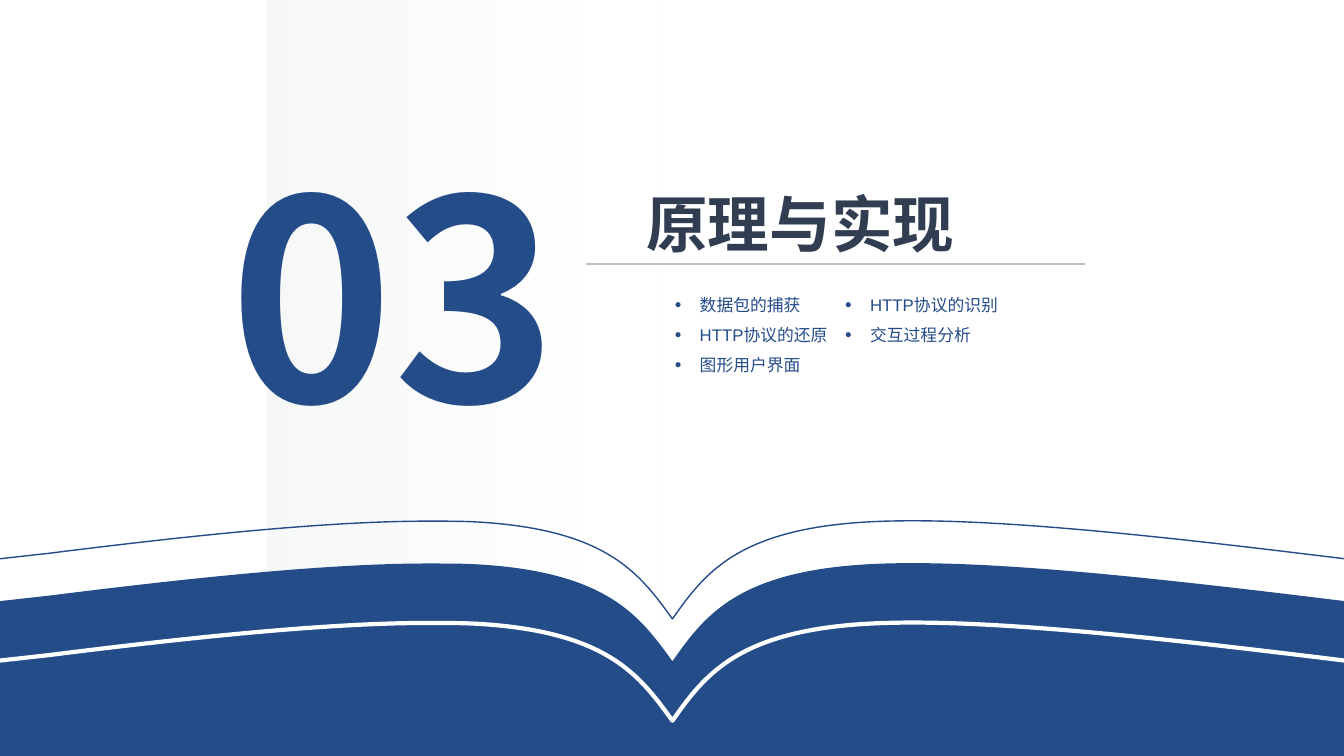
from copy import deepcopy

from lxml import etree
from pptx import Presentation
from pptx.dml.color import RGBColor
from pptx.enum.shapes import MSO_CONNECTOR, MSO_SHAPE
from pptx.enum.text import MSO_ANCHOR, MSO_AUTO_SIZE, PP_ALIGN
from pptx.oxml.ns import qn
from pptx.util import Inches, Pt

RECTANGLE = MSO_SHAPE.RECTANGLE
STRAIGHT = MSO_CONNECTOR.STRAIGHT
TOP = MSO_ANCHOR.TOP
NO_FIT = MSO_AUTO_SIZE.NONE
LEFT, CENTER = PP_ALIGN.LEFT, PP_ALIGN.CENTER
BLUE, NAVY, GREY, WHITE = "244C89", "313D51", "BFBFBF", "FFFFFF"
CJK_FONT = "Noto Sans CJK SC"


def color(value):
    return RGBColor.from_string(value)


def write(shape, text, box, size, ink, font="Arial", bold=False, align=LEFT,
          spacing=1.2, gap=0, inset=(0.1, 0.05), bullet=None):
    shape.left, shape.top, shape.width, shape.height = map(Inches, box)
    frame = shape.text_frame
    frame.text = text
    frame.word_wrap, frame.auto_size, frame.vertical_anchor = True, NO_FIT, TOP
    frame.margin_left = frame.margin_right = Inches(inset[0])
    frame.margin_top = frame.margin_bottom = Inches(inset[1])
    for paragraph in frame.paragraphs:
        paragraph.alignment, paragraph.line_spacing = align, spacing
        paragraph.space_before, paragraph.space_after = Pt(0), Pt(gap)
        letters = paragraph.runs[0].font
        letters.name, letters.size, letters.bold = font, Pt(size), bold
        letters.color.rgb = color(ink)
        etree.SubElement(letters._element, qn("a:ea"), typeface=CJK_FONT)
        if bullet:
            properties = paragraph._p.get_or_add_pPr()
            properties.set("marL", str(Inches(0.25)))
            properties.set("indent", str(-Inches(0.25)))
            etree.SubElement(properties, qn("a:buSzPct"), val="70000")
            etree.SubElement(properties, qn("a:buFont"), typeface="Arial")
            etree.SubElement(properties, qn("a:buChar"), char=bullet)


prs = Presentation()
prs.slide_width, prs.slide_height = Inches(13.33), Inches(7.5)
slide = prs.slides.add_slide(prs.slide_layouts[3])
shapes = slide.shapes
title, left_topics, right_topics = slide.placeholders

band = shapes.add_shape(RECTANGLE, Inches(2.65), 0, Inches(4.01), Inches(6.88))
band.shadow.inherit = False
band.line.fill.background()
band.fill.gradient()
band.fill.gradient_angle = 0
stop_list = band._element.spPr.find(".//" + qn("a:gsLst"))
stop_list.append(deepcopy(stop_list[-1]))
for stop, (tint, position) in zip(band.fill.gradient_stops,
                                  [("F6F7F7", 0), (WHITE, 0.82), (WHITE, 0.97)]):
    stop.color.rgb = color(tint)
    stop.position = position
etree.SubElement(stop_list[-1][0], qn("a:alpha"), val="0")
shapes._spTree.insert(2, band._element)

page_left = -0.15
page_start = (4.24, 0)
page_curves = [
    [(4.43, 0), (4.6, 0), (4.76, 0.01)],
    [(6.04, 0.09), (6.35, 0.53), (6.67, 0.97)],
    [(6.98, 0.53), (7.3, 0.09), (8.57, 0.01)],
    [(9.69, -0.06), (11.53, 0.15), (13.47, 0.39)],
    [(13.48, 0.39)],
    [(13.48, 3.19)],
    [(page_left, 3.19)],
    [(page_left, 0.39)],
    [(0.48, 0.32)],
    [(1.91, 0.14), (3.26, 0), page_start],
]

for page_top, fill, edge, weight in [(5.17, None, BLUE, 1), (5.59, BLUE, None, 0),
                                     (6.18, None, WHITE, 3)]:
    points = [(Inches(x), Inches(page_top + y))
              for x, y in [page_start] + [curve[-1] for curve in page_curves]]
    builder = shapes.build_freeform(*points[0])
    builder.add_line_segments(points[1:], close=True)
    page = builder.convert_to_shape()
    for segment, curve in zip(page._element.findall(".//" + qn("a:lnTo")), page_curves):
        if len(curve) == 3:
            segment.tag = qn("a:cubicBezTo")
            for index, (x, y) in enumerate(curve[:2]):
                handle = etree.Element(qn("a:pt"), x=str(Inches(x - page_left)), y=str(Inches(y)))
                segment.insert(index, handle)
    page.shadow.inherit = False
    if fill:
        page.fill.solid()
        page.fill.fore_color.rgb = color(fill)
    else:
        page.fill.background()
    if edge:
        page.line.color.rgb = color(edge)
        page.line.width = Pt(weight)
    else:
        page.line.fill.background()

chapter_number = shapes.add_textbox(0, 0, 0, 0)
write(chapter_number, "03", (2, 1.18, 3.81, 3.45), 199, BLUE,
      font=CJK_FONT, bold=True, align=CENTER, spacing=1)

write(title, "原理与实现", (6.31, 1.65, 3.5, 0.91), 44, NAVY, bold=True)

rule = shapes.add_connector(STRAIGHT, Inches(10.76), Inches(2.62), Inches(5.81), Inches(2.62))
rule.line.color.rgb = color(GREY)
rule.line.width = Pt(1.5)
etree.SubElement(rule._element.spPr, qn("a:effectLst"))

for topics, column, lines in [
    (left_topics, 6.69, ["数据包的捕获", "HTTP协议的还原", "图形用户界面"]),
    (right_topics, 8.38, ["HTTP协议的识别", "交互过程分析"]),
]:
    write(topics, "\n".join(lines), (column, 2.88, 1.65, 0.87), 12, BLUE,
          gap=4.2, inset=(0, 0), bullet="●")

prs.save("out.pptx")
